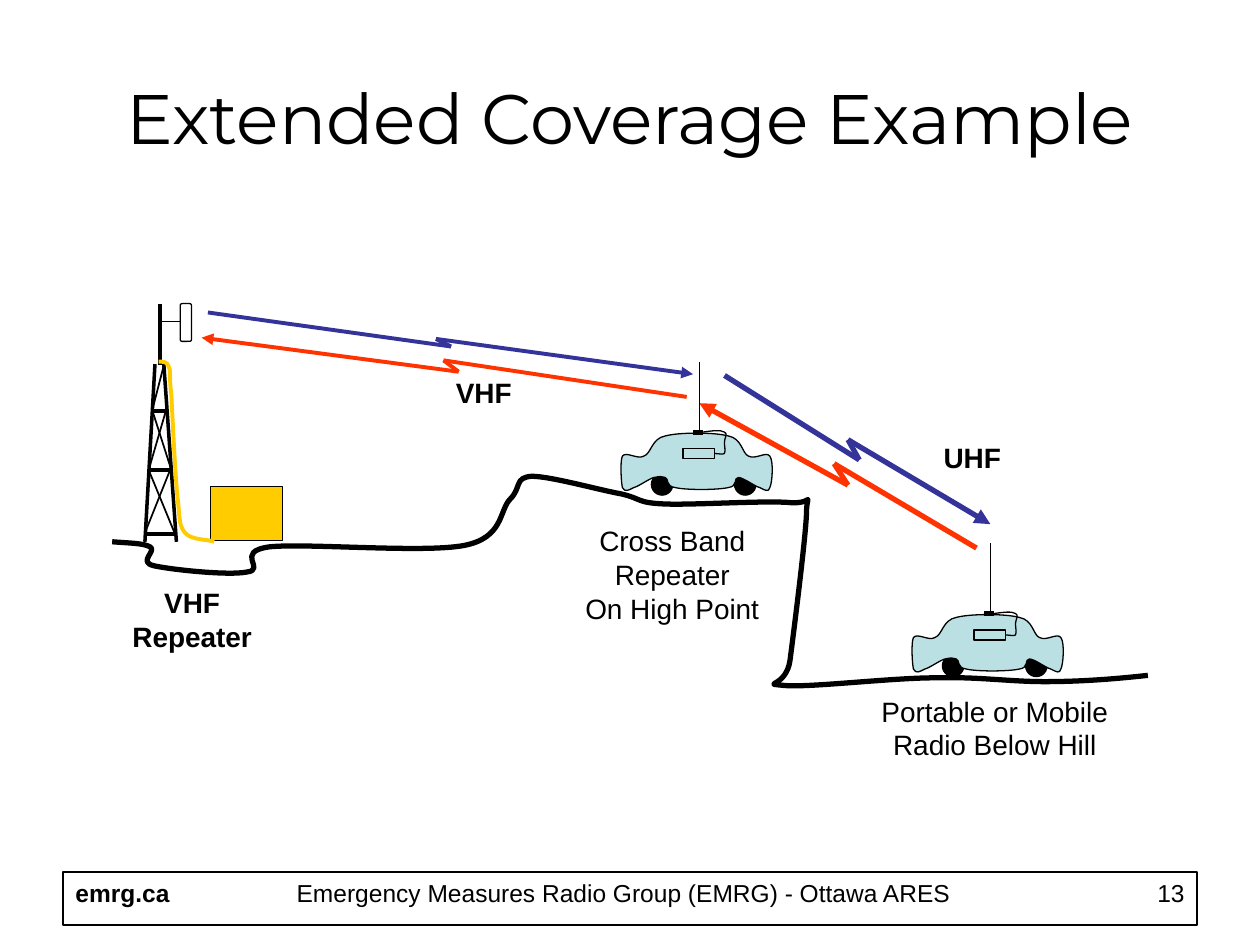
from dataclasses import dataclass
from itertools import pairwise

from lxml.etree import SubElement
from pptx import Presentation
from pptx.dml.color import RGBColor as Rgb
from pptx.enum.shapes import MSO_CONNECTOR as Connector, MSO_SHAPE as Preset
from pptx.enum.text import MSO_ANCHOR as Anchor, MSO_AUTO_SIZE as AutoSize, PP_ALIGN as Align
from pptx.oxml.ns import qn
from pptx.util import Inches, Pt

Point = tuple[float, float]


@dataclass(frozen=True)
class Theme:
    black: str = "000000"
    outbound: str = "333399"
    inbound: str = "FF3300"
    car: str = "BBE0E3"
    yellow: str = "FFCC00"
    body_font: str = "Arial"
    title_font: str = "Montserrat"
    title: int = 40
    label: int = 16
    footer: int = 14
    hairline: float = 0.75
    brace: float = 1
    beam: float = 2
    signal: float = 2.25
    heavy: float = 3


THEME = Theme()


@dataclass(frozen=True)
class Label:
    lines: tuple[str, ...]
    left: float
    top: float
    width: float
    height: float
    size: int
    align: Align = Align.CENTER
    bold: bool = False
    wrap: bool = True
    font: str = THEME.body_font
    anchor: Anchor = Anchor.TOP


@dataclass(frozen=True)
class Signal:
    """A radio path with a kink in the middle and an arrowhead at its end."""
    color: str
    weight: float
    points: tuple[Point, ...]


LABELS = (
    Label(("Extended Coverage Example",), 0.5, 0.3, 9, 1.25, THEME.title,
          font=THEME.title_font, anchor=Anchor.MIDDLE),
    Label(("emrg.ca",), 0.5, 6.92, 1.01, 0.34, THEME.footer, Align.LEFT, bold=True),
    Label(("Emergency Measures Radio Group (EMRG) - Ottawa ARES",),
          1.65, 6.92, 6.6, 0.43, THEME.footer),
    Label(("13",), 8.31, 6.92, 1.19, 0.43, THEME.footer, Align.RIGHT),
    Label(("UHF",), 7.39, 3.45, 0.65, 0.37, THEME.label, Align.LEFT, True, False),
    Label(("VHF",), 3.52, 2.93, 0.64, 0.37, THEME.label, Align.LEFT, True, False),
    Label(("VHF", "Repeater"), 0.95, 4.6, 1.15, 0.64, THEME.label, bold=True, wrap=False),
    Label(("Cross Band Repeater", "On High Point"), 4.44, 4.11, 1.79, 0.9, THEME.label),
    Label(("Portable or Mobile", "Radio Below Hill"), 6.87, 5.46, 2.05, 0.64, THEME.label),
)

SIGNALS = (
    Signal(THEME.outbound, THEME.signal, ((1.65, 2.48), (3.58, 2.75), (3.46, 2.69), (5.5, 2.97))),
    Signal(THEME.inbound, THEME.heavy, ((7.75, 4.35), (6.62, 3.68), (6.73, 3.85), (5.55, 3.2))),
    Signal(THEME.inbound, THEME.signal, ((5.45, 3.15), (3.52, 2.86), (3.64, 2.95), (1.6, 2.68))),
    Signal(THEME.outbound, THEME.heavy, ((5.75, 2.98), (6.82, 3.65), (6.73, 3.49), (7.86, 4.16))),
)

TOWER_BEAMS = (
    ((1.22, 3.26), (1.32, 3.26)), ((1.27, 2.9), (1.27, 2.41)), ((1.15, 4.3), (1.23, 2.89)),
    ((1.3, 2.89), (1.4, 4.3)), ((1.15, 4.24), (1.39, 4.24)), ((1.18, 3.73), (1.35, 3.73)),
)
TOWER_BRACES = (
    ((1.18, 3.73), (1.39, 4.24)), ((1.15, 4.23), (1.35, 3.73)), ((1.21, 3.26), (1.36, 3.73)),
    ((1.18, 3.73), (1.32, 3.25)), ((1.21, 3.25), (1.3, 2.9)),
)

# Curves hold a start point, then two control points and an end point per segment.
# Car curves are measured from the left end of the body and the top of the roof.
CAR_BODY = (
    (0.02, 0.44), (0.01, 0.4), (0, 0.23), (0.02, 0.19), (0.05, 0.15), (0.14, 0.22), (0.19, 0.19),
    (0.25, 0.17), (0.25, 0.05), (0.36, 0.03), (0.47, 0), (0.75, 0), (0.86, 0.03),
    (0.97, 0.05), (0.97, 0.17), (1.02, 0.19), (1.08, 0.22), (1.16, 0.15), (1.19, 0.19),
    (1.22, 0.23), (1.21, 0.4), (1.19, 0.44), (1.18, 0.48), (1.15, 0.46), (1.11, 0.44),
    (1.07, 0.43), (0.98, 0.36), (0.94, 0.36), (0.9, 0.36), (0.94, 0.43), (0.86, 0.44),
    (0.77, 0.46), (0.52, 0.46), (0.44, 0.44), (0.36, 0.43), (0.39, 0.37), (0.36, 0.36),
    (0.33, 0.35), (0.32, 0.35), (0.27, 0.36), (0.23, 0.37), (0.15, 0.43), (0.11, 0.44),
    (0.07, 0.46), (0.04, 0.48), (0.02, 0.44),
)
CAR_CABLE = (
    (0.66, 0), (0.73, -0.01), (0.8, -0.02), (0.83, 0), (0.86, 0.01), (0.83, 0.05), (0.83, 0.08),
    (0.83, 0.11), (0.84, 0.15), (0.83, 0.17), (0.82, 0.18), (0.78, 0.17), (0.75, 0.17),
)
TOWER_CABLE = (
    (1.26, 2.87), (1.29, 2.87), (1.33, 2.87), (1.34, 2.91), (1.36, 2.95), (1.34, 2.96), (1.36, 3.13),
    (1.37, 3.31), (1.39, 3.77), (1.41, 3.95), (1.43, 4.13), (1.42, 4.17), (1.47, 4.23),
    (1.52, 4.29), (1.66, 4.28), (1.7, 4.3),
)
GROUND = (
    (0.89, 4.3), (1.01, 4.31), (1.14, 4.31), (1.19, 4.34), (1.25, 4.37), (1.09, 4.46), (1.22, 4.49),
    (1.35, 4.52), (1.81, 4.57), (1.96, 4.54), (2.12, 4.52), (1.85, 4.38), (2.14, 4.34),
    (2.43, 4.31), (3.36, 4.39), (3.68, 4.33), (4, 4.27), (3.96, 4.05), (4.05, 3.96),
    (4.14, 3.87), (4.08, 3.79), (4.22, 3.78), (4.37, 3.78), (4.76, 3.89), (4.93, 3.92),
    (5.1, 3.96), (5.05, 3.99), (5.27, 4), (5.5, 4.01), (6.09, 3.97), (6.28, 3.99),
    (6.47, 4), (6.4, 3.88), (6.4, 4.09), (6.39, 4.3), (6.3, 5.01), (6.27, 5.24),
    (6.24, 5.46), (6.03, 5.42), (6.22, 5.44), (6.41, 5.46), (7.07, 5.38), (7.42, 5.38),
    (7.76, 5.37), (8.01, 5.41), (8.29, 5.41), (8.57, 5.41), (8.84, 5.39), (9.11, 5.36),
)


def style(shape, fill: str | None, color: str, weight: float) -> None:
    shape.shadow.inherit = False
    if fill:
        shape.fill.solid()
        shape.fill.fore_color.rgb = Rgb.from_string(fill)
    else:
        shape.fill.background()
    shape.line.color.rgb = Rgb.from_string(color)
    shape.line.width = Pt(weight)


def add_preset(shapes, preset: Preset, left: float, top: float, width: float, height: float,
               fill: str | None = None, weight: float = THEME.hairline) -> None:
    shape = shapes.add_shape(preset, Inches(left), Inches(top), Inches(width), Inches(height))
    style(shape, fill, THEME.black, weight)


def add_line(shapes, start: Point, end: Point, weight: float,
             color: str = THEME.black, arrow: bool = False) -> None:
    line = shapes.add_connector(Connector.STRAIGHT, *(Inches(n) for n in (*start, *end)))
    line.line.color.rgb = Rgb.from_string(color)
    line.line.width = Pt(weight)
    if arrow:
        SubElement(line.line._get_or_add_ln(), qn("a:tailEnd"), type="triangle")
    SubElement(line._element.spPr, qn("a:effectLst"))


def add_curve(shapes, curve: tuple[Point, ...], weight: float, color: str = THEME.black,
              fill: str | None = None, origin: Point = (0, 0)) -> None:
    """Build the outline from straight lines, then join each three into one Bezier segment."""
    start, *rest = [(Inches(origin[0] + x), Inches(origin[1] + y)) for x, y in curve]
    builder = shapes.build_freeform(*start)
    builder.add_line_segments(rest, close=fill is not None)
    shape = builder.convert_to_shape()
    lines = list(shape._element.iter(qn("a:lnTo")))
    for first, second, third in zip(lines[::3], lines[1::3], lines[2::3]):
        bezier = first.getparent().makeelement(qn("a:cubicBezTo"))
        first.addprevious(bezier)
        for line in (first, second, third):
            bezier.append(line[0])
            line.getparent().remove(line)
    style(shape, fill, color, weight)


def add_label(shapes, label: Label) -> None:
    box = shapes.add_textbox(*(Inches(n) for n in (label.left, label.top, label.width, label.height)))
    frame = box.text_frame
    frame.word_wrap = label.wrap
    frame.auto_size = AutoSize.NONE
    frame.vertical_anchor = label.anchor
    frame.text = "\n".join(label.lines)
    for para in frame.paragraphs:
        para.alignment = label.align
        para.font.name = label.font
        para.font.size = Pt(label.size)
        para.font.bold = label.bold
        para.font.color.rgb = Rgb.from_string(THEME.black)


def add_signal(shapes, signal: Signal) -> None:
    group = shapes.add_group_shape().shapes
    for start, end in pairwise(signal.points):
        add_line(group, start, end, signal.weight, signal.color, end == signal.points[-1])


def add_car(shapes, left: float, top: float) -> None:
    group = shapes.add_group_shape().shapes
    for wheel in (0.25, 0.91):
        add_preset(group, Preset.OVAL, left + wheel, top + 0.33, 0.17, 0.17, THEME.black)
    add_curve(group, CAR_BODY, THEME.hairline, fill=THEME.car, origin=(left, top))
    add_line(shapes, (left + 0.63, top - 0.56), (left + 0.63, top), THEME.hairline)
    add_line(shapes, (left + 0.58, top), (left + 0.66, top), THEME.heavy)
    add_preset(shapes, Preset.RECTANGLE, left + 0.5, top + 0.13, 0.25, 0.08, THEME.car)
    add_curve(shapes, CAR_CABLE, THEME.hairline, origin=(left, top))


def add_repeater_site(shapes) -> None:
    for weight, lines in ((THEME.beam, TOWER_BEAMS), (THEME.brace, TOWER_BRACES)):
        for start, end in lines:
            add_line(shapes, start, end, weight)
    add_line(shapes, (1.27, 2.55), (1.43, 2.55), THEME.hairline)
    add_preset(shapes, Preset.ROUNDED_RECTANGLE, 1.43, 2.41, 0.09, 0.3)
    add_preset(shapes, Preset.RECTANGLE, 1.67, 3.86, 0.57, 0.43, THEME.yellow)
    add_curve(shapes, TOWER_CABLE, THEME.signal, THEME.yellow)


def main() -> None:
    deck = Presentation()
    deck.slide_width, deck.slide_height = Inches(10), Inches(7.5)
    shapes = deck.slides.add_slide(deck.slide_layouts[6]).shapes
    add_preset(shapes, Preset.RECTANGLE, 0.5, 6.92, 9, 0.42, weight=THEME.brace)
    for signal in SIGNALS:
        add_signal(shapes, signal)
    for left, top in ((4.92, 3.43), (7.23, 4.87)):
        add_car(shapes, left, top)
    add_repeater_site(shapes)
    for label in LABELS:
        add_label(shapes, label)
    add_curve(shapes, GROUND, THEME.heavy)
    deck.save("out.pptx")


if __name__ == "__main__":
    main()
